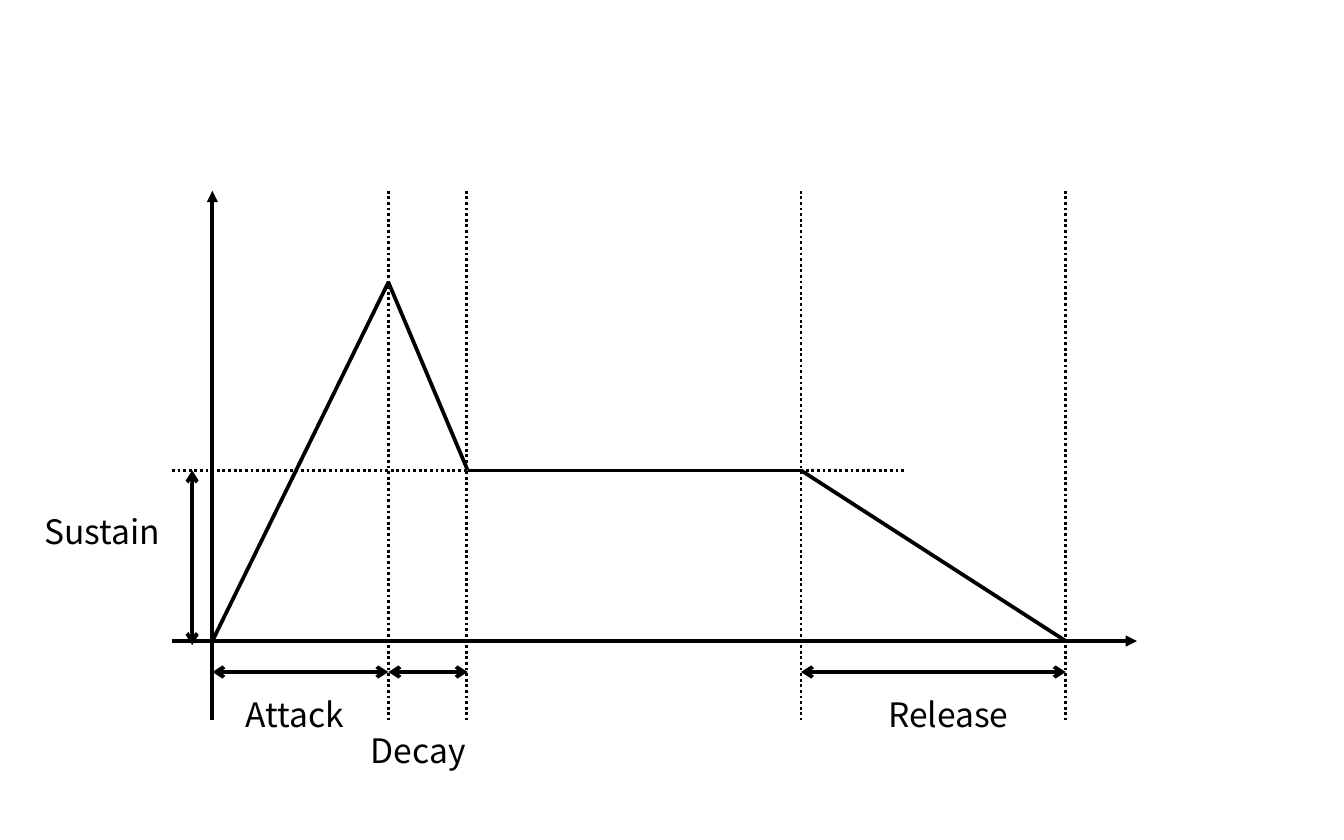
from lxml.etree import SubElement
from pptx import Presentation
from pptx.dml.color import RGBColor
from pptx.enum.dml import MSO_LINE
from pptx.enum.shapes import MSO_CONNECTOR
from pptx.enum.text import MSO_ANCHOR
from pptx.oxml.ns import qn
from pptx.util import Inches, Pt

BLACK = RGBColor(0x00, 0x00, 0x00)
FONT = "Noto Sans CJK JP"

# Envelope stages along the time axis, and its levels
START, PEAK, HOLD, LET_GO, END = 1.58, 2.89, 3.48, 5.96, 7.93
PEAK_LEVEL, SUSTAIN_LEVEL, BASELINE = 2.1, 3.5, 4.77
TOP, BOTTOM, LEFT = 1.42, 5.36, 1.28
SPAN_LEVEL = 5


def add_line(page, start, end, width=2, dash=None, head=None, tail=None):
    line = page.shapes.add_connector(
        MSO_CONNECTOR.STRAIGHT, *(Inches(value) for value in (*start, *end)))
    line.line.color.rgb = BLACK
    line.line.width = Pt(width)
    if dash:
        line.line.dash_style = dash
    outline = line.line._get_or_add_ln()
    for tag, arrow in (("a:headEnd", head), ("a:tailEnd", tail)):
        if arrow:
            SubElement(outline, qn(tag), type=arrow)
    SubElement(line._element.spPr, qn("a:effectLst"))


def add_guide(page, start, end):
    add_line(page, start, end, width=1.5, dash=MSO_LINE.ROUND_DOT)


def add_span(page, start, end):
    add_line(page, start, end, head="arrow", tail="arrow")


def add_label(page, text, left, top, width, height=0.4, size=18, color=BLACK):
    box = page.shapes.add_textbox(
        Inches(left), Inches(top), Inches(width), Inches(height))
    frame = box.text_frame
    frame.word_wrap = True
    frame.vertical_anchor = MSO_ANCHOR.TOP
    frame.margin_top = frame.margin_bottom = 0
    span = frame.paragraphs[0].add_run()
    span.text = text
    span.font.name = FONT
    span.font.size = Pt(size)
    span.font.color.rgb = color


def main():
    deck = Presentation()
    deck.slide_width, deck.slide_height = Inches(10), Inches(6.25)
    page = deck.slides.add_slide(deck.slide_layouts[6])

    # Axes
    add_line(page, (START, TOP), (START, BOTTOM), head="triangle")
    add_line(page, (LEFT, BASELINE), (8.46, BASELINE), tail="triangle")

    # Envelope
    points = [(START, BASELINE), (PEAK, PEAK_LEVEL), (HOLD, SUSTAIN_LEVEL),
              (LET_GO, SUSTAIN_LEVEL), (END, BASELINE)]
    for start, end in zip(points, points[1:]):
        add_line(page, start, end)

    # Dotted guides
    for x in (PEAK, 3.47, LET_GO, END):
        add_guide(page, (x, TOP), (x, BOTTOM))
    add_guide(page, (LEFT, SUSTAIN_LEVEL), (6.73, SUSTAIN_LEVEL))

    # Stage spans
    for start, end in ((START, PEAK), (PEAK, HOLD), (LET_GO, END)):
        add_span(page, (start, SPAN_LEVEL), (end, SPAN_LEVEL))
    add_span(page, (1.43, 4.8), (1.43, SUSTAIN_LEVEL))

    # Stage names
    add_label(page, "Attack", 1.73, 5.16, 1.03)
    add_label(page, "Decay", 2.66, 5.43, 0.97)
    add_label(page, "Sustain", 0.23, 3.8, 1.13)
    add_label(page, "Release", 6.51, 5.16, 1.17)

    deck.save("out.pptx")


if __name__ == "__main__":
    main()
